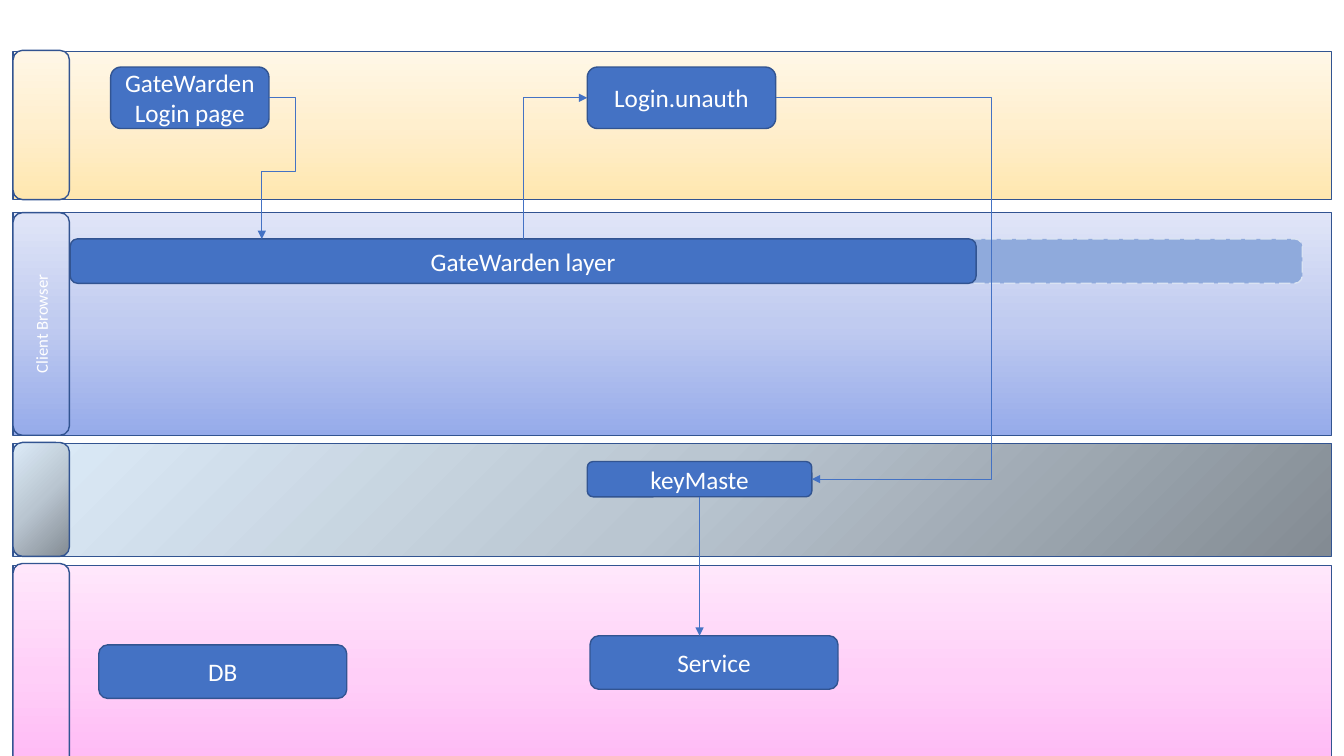
from copy import deepcopy

from lxml import etree
from pptx import Presentation
from pptx.dml.color import RGBColor
from pptx.enum.dml import MSO_LINE
from pptx.enum.shapes import MSO_CONNECTOR, MSO_SHAPE
from pptx.enum.text import MSO_ANCHOR, PP_ALIGN
from pptx.oxml.ns import qn
from pptx.util import Cm, Pt

RECT, ROUND = MSO_SHAPE.RECTANGLE, MSO_SHAPE.ROUNDED_RECTANGLE
ALT_PROCESS = MSO_SHAPE.FLOWCHART_ALTERNATE_PROCESS
ELBOW, STRAIGHT = MSO_CONNECTOR.ELBOW, MSO_CONNECTOR.STRAIGHT
LONG_DASH = MSO_LINE.LONG_DASH
CENTER, MIDDLE = PP_ALIGN.CENTER, MSO_ANCHOR.MIDDLE

WHITE = RGBColor(0xFF, 0xFF, 0xFF)
BLUE = RGBColor(0x44, 0x72, 0xC4)
NAVY = RGBColor(0x32, 0x54, 0x91)
PALE_BLUE = RGBColor(0x8F, 0xAA, 0xDC)
DASH_BLUE = RGBColor(0xDA, 0xE3, 0xF3)
YELLOWS = [RGBColor(0xFF, 0xE7, 0xAF), RGBColor(0xFF, 0xEF, 0xCE), RGBColor(0xFF, 0xF7, 0xE7)]
BLUES = [RGBColor(0x96, 0xAB, 0xEA), RGBColor(0xC0, 0xCB, 0xF0), RGBColor(0xE0, 0xE5, 0xF7)]
GREYS = [RGBColor(0x83, 0x8B, 0x93), RGBColor(0xBA, 0xC6, 0xD1), RGBColor(0xDC, 0xEB, 0xF8)]
PINKS = [RGBColor(0xFF, 0xB3, 0xF4), RGBColor(0xFF, 0xCF, 0xF8), RGBColor(0xFF, 0xE7, 0xFB)]

LANE_X, LANE_W, TAB_W = 0.33, 33.22, 1.42
# name: top, height, rise of the tab above the lane, colours, angle, tab label
LANES = {
    "login": (1.3, 3.73, 0.03, YELLOWS, 90, ""),
    "layer": (5.36, 5.61, 0, BLUES, 90, "Client Browser"),
    "key": (11.18, 2.84, 0.03, GREYS, 135, ""),
    "service": (14.25, 5.61, 0.05, PINKS, 90, ""),
}
# lane, preset, place within the lane, lines of text
BOXES = {
    "page": ("login", ALT_PROCESS, (2.46, 0.39, 3.99, 1.55), ["GateWarden", "Login page"]),
    "unauth": ("login", ROUND, (14.47, 0.39, 4.75, 1.55), ["Login.unauth"]),
    "ghost": ("layer", ROUND, (17.68, 0.66, 14.81, 1.12), []),
    "bar": ("layer", ROUND, (1.44, 0.66, 22.83, 1.12), ["GateWarden layer"]),
    "key": ("key", ROUND, (14.47, 0.45, 5.66, 0.89), ["keyMaste"]),
    "service": ("service", ROUND, (14.54, 1.77, 6.25, 1.35), ["Service"]),
    "db": ("service", ROUND, (2.16, 2, 6.25, 1.35), ["DB"]),
}


def add_outlined(s, preset, box, color=NAVY):
    """Add a shape with a thin outline and no shadow."""
    sp = s.shapes.add_shape(preset, *(Cm(v) for v in box))
    sp.shadow.inherit = False
    sp.line.color.rgb = color
    sp.line.width = Pt(1)
    return sp


def fill_gradient(sp, colors, angle):
    """Fill a shape with a three-stop linear gradient."""
    sp.fill.gradient()
    sp.fill.gradient_angle = angle
    stops = sp._element.spPr.find(qn("a:gradFill")).find(qn("a:gsLst"))
    stops.insert(1, deepcopy(stops[0]))
    for stop, color, pos in zip(sp.fill.gradient_stops, colors, (0, 0.5, 1)):
        stop.color.rgb = color
        stop.position = pos


def write_text(sp, lines, size):
    """Write centred white lines into a shape."""
    tf = sp.text_frame
    tf.word_wrap = True
    tf.vertical_anchor = MIDDLE
    for i, line in enumerate(lines):
        p = tf.add_paragraph() if i else tf.paragraphs[0]
        p.alignment = CENTER
        r = p.add_run()
        r.text = line
        for name, value in {"name": "Calibri", "size": Pt(size)}.items():
            setattr(r.font, name, value)
        r.font.color.rgb = WHITE


def add_lane(s, box, rise, colors, angle, label):
    """Draw a swimlane with its tab on the left."""
    x, y, w, h = box
    lane = add_outlined(s, RECT, box)
    tab = add_outlined(s, ROUND, (x, y - rise, TAB_W, h + rise))
    for sp in (lane, tab):
        fill_gradient(sp, colors, angle)
    if label:
        tab.text_frame._txBody.bodyPr.set("vert", "vert270")
        write_text(tab, [label], 12)


def add_box(s, preset, box, lines):
    """Draw a process box, or a pale dashed one when it has no text."""
    sp = add_outlined(s, preset, box, NAVY if lines else DASH_BLUE)
    sp.fill.solid()
    sp.fill.fore_color.rgb = BLUE if lines else PALE_BLUE
    if lines:
        write_text(sp, lines, 18)
    else:
        sp.line.dash_style = LONG_DASH


def add_arrow(s, start, end, kind=ELBOW, preset=None, adjust=(), arrow="tailEnd"):
    """Draw a thin connector; adjust holds bend positions in 1/1000 of its size."""
    c = s.shapes.add_connector(kind, *(Cm(v) for v in (*start, *end)))
    c.line.color.rgb = BLUE
    c.line.width = Pt(0.5)
    spPr = c._element.spPr
    etree.SubElement(spPr.find(qn("a:ln")), qn("a:" + arrow), type="triangle")
    etree.SubElement(spPr, qn("a:effectLst"))
    geom = spPr.find(qn("a:prstGeom"))
    if preset:
        geom.set("prst", preset)
    if adjust:
        guides = geom.find(qn("a:avLst"))
        if guides is None:
            guides = etree.SubElement(geom, qn("a:avLst"))
        for i, value in enumerate(adjust, 1):
            etree.SubElement(guides, qn("a:gd"), name=f"adj{i}",
                             fmla=f"val {round(value * 100)}")


def add_flow(s, boxes):
    """Connect the process boxes."""
    def at(name, fx, fy):
        x, y, w, h = boxes[name]
        return x + w * fx, y + h * fy

    page, bar = at("page", 1, 0.5), at("bar", 0, 0)
    add_arrow(s, page, (page[0] - 0.18, bar[1]), preset="bentConnector4",
              adjust=(-3628, 523))
    add_arrow(s, at("unauth", 0, 0.5), at("bar", 0.5, 0), preset="bentConnector2",
              arrow="headEnd")
    start, end = at("unauth", 1, 0.5), at("key", 1, 0.5)
    bend_x = 24.98
    add_arrow(s, start, end, adjust=[1000 * (bend_x - start[0]) / (end[0] - start[0])])
    key = at("key", 0.5, 1)
    add_arrow(s, key, (key[0], boxes["service"][1]), kind=STRAIGHT)


def build_slide(prs):
    """Build the login flow across four swimlanes."""
    s = prs.slides.add_slide(prs.slide_layouts[6])
    for top, height, *style in LANES.values():
        add_lane(s, (LANE_X, top, LANE_W, height), *style)
    boxes = {}
    for name, (lane, preset, (x, y, w, h), lines) in BOXES.items():
        boxes[name] = (LANE_X + x, LANES[lane][0] + y, w, h)
        add_box(s, preset, boxes[name], lines)
    add_flow(s, boxes)


prs = Presentation()
prs.slide_width, prs.slide_height = Cm(33.87), Cm(19.05)
build_slide(prs)
prs.save("out.pptx")
